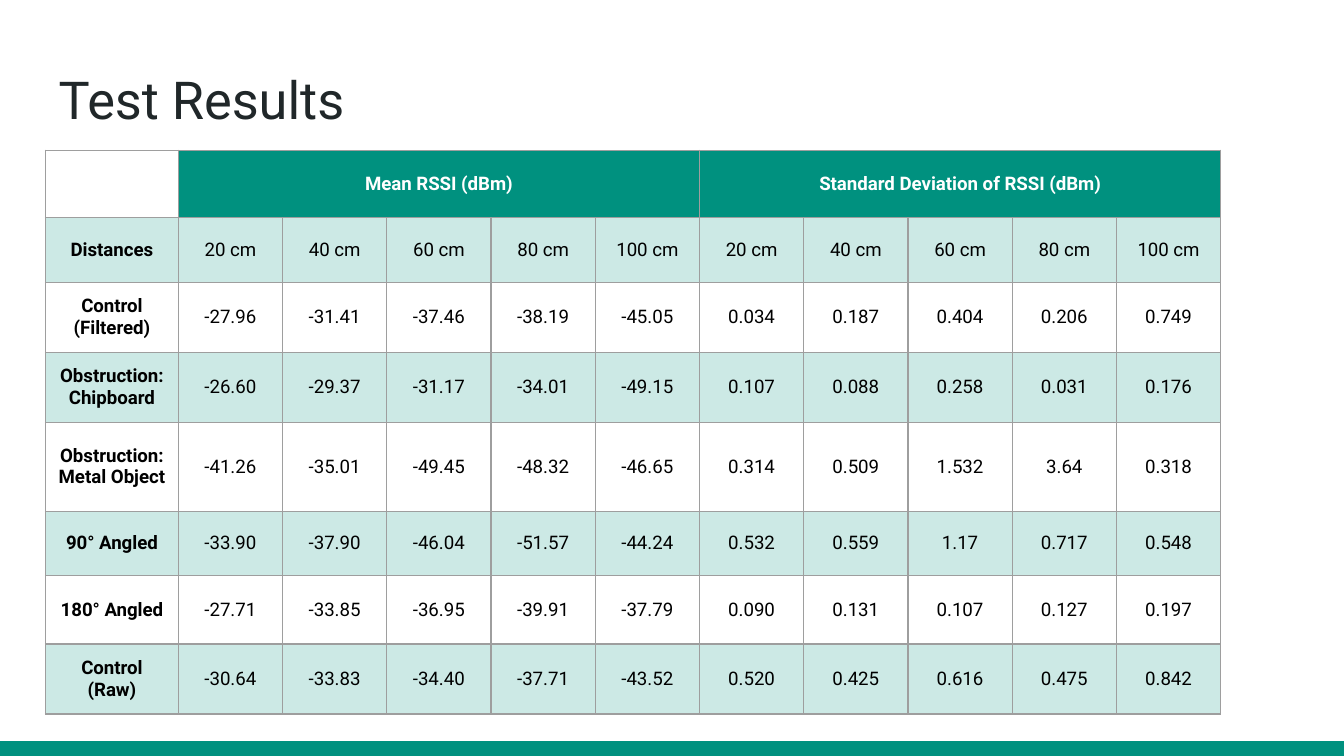
from pptx import Presentation
from pptx.dml.color import RGBColor
from pptx.enum.shapes import MSO_SHAPE as Shape
from pptx.enum.text import MSO_ANCHOR as Anchor, PP_ALIGN as Align
from pptx.oxml import parse_xml
from pptx.oxml.ns import nsdecls, qn
from pptx.util import Cm, Pt

FONT = "Roboto"
GREEN, GREY, DARK = "00917F", "9E9E9E", "202729"
MARGIN = Cm(0.25)
DISTANCES = ["20 cm", "40 cm", "60 cm", "80 cm", "100 cm"]
GROUPS = ["Mean RSSI (dBm)", "Standard Deviation of RSSI (dBm)"]
RESULTS = [
    ["Distances", *DISTANCES * len(GROUPS)],
    ["Control (Filtered)", "-27.96", "-31.41", "-37.46", "-38.19", "-45.05",
     "0.034", "0.187", "0.404", "0.206", "0.749"],
    ["Obstruction:\vChipboard", "-26.60", "-29.37", "-31.17", "-34.01", "-49.15",
     "0.107", "0.088", "0.258", "0.031", "0.176"],
    ["Obstruction:\vMetal Object", "-41.26", "-35.01", "-49.45", "-48.32", "-46.65",
     "0.314", "0.509", "1.532", "3.64", "0.318"],
    ["90° Angled", "-33.90", "-37.90", "-46.04", "-51.57", "-44.24",
     "0.532", "0.559", "1.17", "0.717", "0.548"],
    ["180° Angled", "-27.71", "-33.85", "-36.95", "-39.91", "-37.79",
     "0.090", "0.131", "0.107", "0.127", "0.197"],
    ["Control (Raw)", "-30.64", "-33.83", "-34.40", "-37.71", "-43.52",
     "0.520", "0.425", "0.616", "0.475", "0.842"],
]
ROW_HEIGHTS = [1.18, 1.22, 1.3, 1.3, 1.68, 1.22, 1.29, 1.3]
LABEL_WIDTH, VALUE_WIDTH = 2.51, 1.97


def color(hex_string):
    return RGBColor.from_string(hex_string)


def write(text_frame, text, size=10, fill="000000", bold=False, align=Align.CENTER):
    text_frame.text = text
    paragraph = text_frame.paragraphs[0]
    paragraph.alignment = align
    for run in paragraph.runs:
        font = run.font
        font.name, font.size, font.bold = FONT, Pt(size), bold
        font.color.rgb = color(fill)


def add_footer_bar(slide, left, top, width, height):
    bar = slide.shapes.add_shape(Shape.RECTANGLE, left, top, width, height)
    bar.shadow.inherit = False
    bar.fill.solid()
    bar.fill.fore_color.rgb = color(GREEN)
    bar.line.fill.background()


def place_title(slide, left, top, width, height):
    title = slide.shapes.title
    title.left, title.top, title.width, title.height = left, top, width, height
    frame = title.text_frame
    frame.margin_left = frame.margin_right = MARGIN
    frame.margin_top = frame.margin_bottom = MARGIN
    frame.vertical_anchor = Anchor.TOP
    write(frame, "Test Results", size=28, fill=DARK, align=Align.LEFT)


def add_borders(cell):
    properties = cell._tc.get_or_add_tcPr()
    for index, side in enumerate(("lnL", "lnR", "lnT", "lnB")):
        properties.insert(index, parse_xml(
            f'<a:{side} {nsdecls("a")} w="{Pt(0.75)}"><a:solidFill>'
            f'<a:srgbClr val="{GREY}"/></a:solidFill></a:{side}>'))


def fill_cell(cell, fill=None, opacity=100):
    if fill is None:
        cell.fill.background()
        return
    cell.fill.solid()
    cell.fill.fore_color.rgb = color(fill)
    if opacity < 100:
        swatch = cell._tc.tcPr.find(qn("a:solidFill")).find(qn("a:srgbClr"))
        swatch.append(parse_xml(f'<a:alpha {nsdecls("a")} val="{opacity * 1000}"/>'))


def add_results_table(slide, left, top, width, height):
    table = slide.shapes.add_table(
        len(ROW_HEIGHTS), len(RESULTS[0]), left, top, width, height).table
    table.first_row = table.horz_banding = False
    for index, column in enumerate(table.columns):
        column.width = Cm(VALUE_WIDTH if index else LABEL_WIDTH)
    for row, row_height in zip(table.rows, ROW_HEIGHTS):
        row.height = Cm(row_height)
    for cell in table.iter_cells():
        cell.margin_left = cell.margin_right = MARGIN
        cell.margin_top = cell.margin_bottom = MARGIN
        cell.vertical_anchor = Anchor.MIDDLE
        fill_cell(cell)
        add_borders(cell)

    # Merged headings, one above each set of distances
    span = len(DISTANCES)
    for index, heading in enumerate(GROUPS):
        first = 1 + index * span
        cell = table.cell(0, first)
        cell.merge(table.cell(0, first + span - 1))
        fill_cell(cell, GREEN)
        write(cell.text_frame, heading, fill="FFFFFF", bold=True)

    # Distances and readings, with every other row tinted
    for row, values in enumerate(RESULTS, start=1):
        for column, value in enumerate(values):
            cell = table.cell(row, column)
            if row % 2:
                fill_cell(cell, GREEN, opacity=20)
            write(cell.text_frame, value, bold=column == 0)


def main():
    presentation = Presentation()
    presentation.slide_width, presentation.slide_height = Cm(25.4), Cm(14.29)
    slide = presentation.slides.add_slide(presentation.slide_layouts[5])
    add_footer_bar(slide, Cm(0), Cm(14.01), Cm(25.4), Cm(0.28))
    place_title(slide, Cm(0.86), Cm(1.03), Cm(23.67), Cm(1.6))
    table_width = LABEL_WIDTH + VALUE_WIDTH * (len(RESULTS[0]) - 1)
    add_results_table(slide, Cm(0.86), Cm(2.84), Cm(table_width), Cm(sum(ROW_HEIGHTS)))
    presentation.save("out.pptx")


if __name__ == "__main__":
    main()
